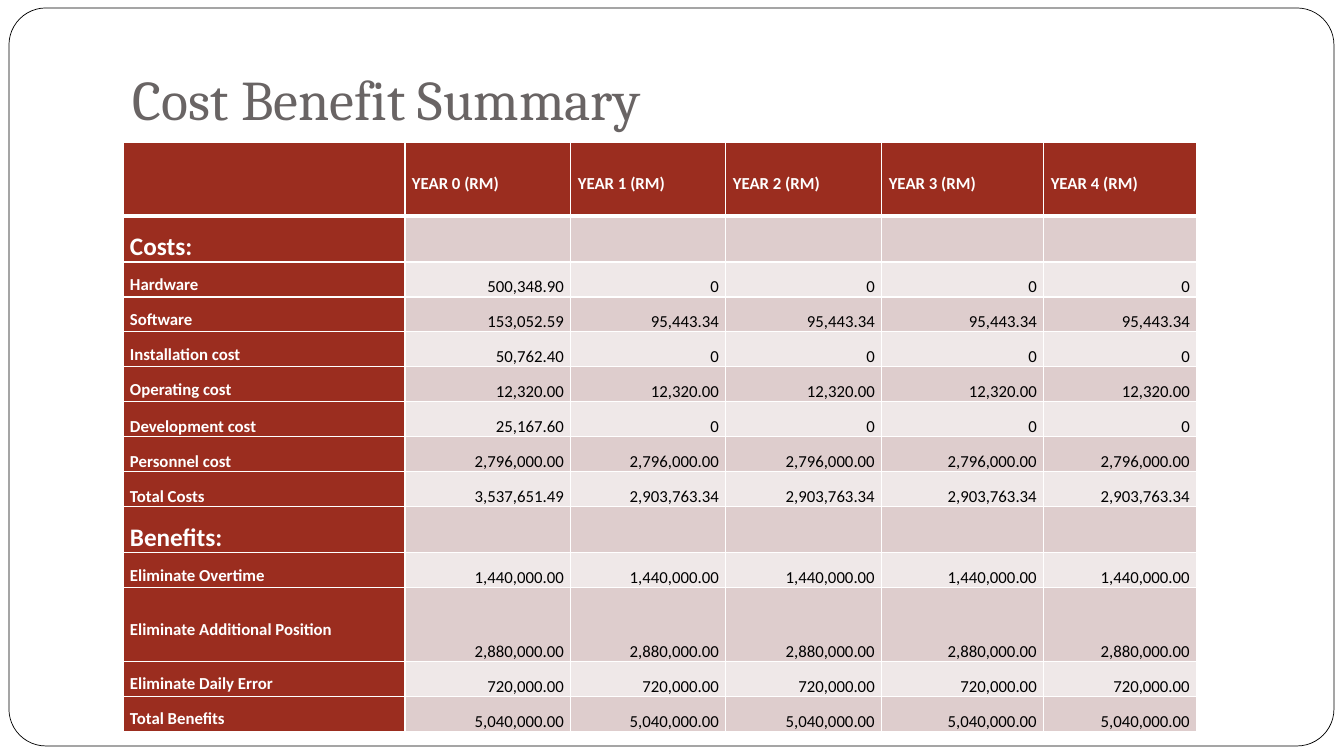
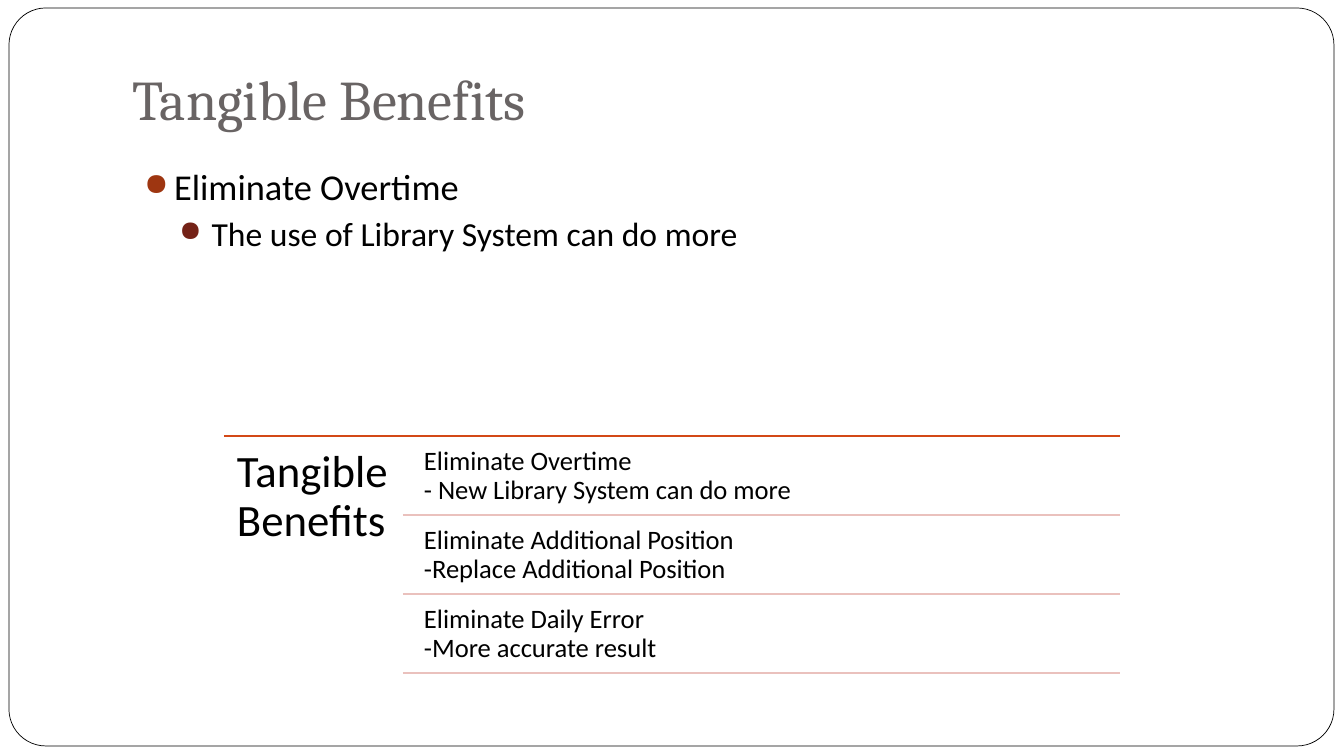
from lxml.etree import SubElement
from pptx import Presentation
from pptx.dml.color import RGBColor
from pptx.enum.shapes import MSO_CONNECTOR, MSO_SHAPE
from pptx.enum.text import MSO_ANCHOR, PP_ALIGN
from pptx.oxml.ns import qn
from pptx.util import Pt

SCALE = 914400 / 100.8
WIDE, HIGH = 1344, 756
HEAD_FONT, BODY_FONT = "Cambria", "Calibri"
WHITE = RGBColor(0xFF, 0xFF, 0xFF)
BLACK = RGBColor(0x00, 0x00, 0x00)
GREY = RGBColor(0x69, 0x64, 0x64)
BRICK = RGBColor(0x9B, 0x2D, 0x1F)
ROSE = RGBColor(0xDE, 0xCD, 0xCD)
PALE = RGBColor(0xEF, 0xE8, 0xE8)
ORANGE = RGBColor(0xD3, 0x48, 0x17)
PINK = RGBColor(0xEA, 0xC1, 0xBD)
RUST = RGBColor(0x9E, 0x36, 0x11)
WINE = RGBColor(0x74, 0x22, 0x17)

MID, LOW = MSO_ANCHOR.MIDDLE, MSO_ANCHOR.BOTTOM
YEARS = [f"YEAR {n} (RM)" for n in range(5)]
COLS = [282, 166, 155, 156, 162, 153]
ROWS = [
    ("", YEARS, 74, MID),
    ("Costs:", [""] * 5, 46, MID),
    ("Hardware", ["500,348.90"] + ["0"] * 4, 35, MID),
    ("Software", ["153,052.59"] + ["95,443.34"] * 4, 35, MID),
    ("Installation cost", ["50,762.40"] + ["0"] * 4, 35, MID),
    ("Operating cost", ["12,320.00"] * 5, 35, MID),
    ("Development cost", ["25,167.60"] + ["0"] * 4, 35, LOW),
    ("Personnel cost", ["2,796,000.00"] * 5, 35, LOW),
    ("Total Costs", ["3,537,651.49"] + ["2,903,763.34"] * 4, 35, LOW),
    ("Benefits:", [""] * 5, 46, LOW),
    ("Eliminate Overtime", ["1,440,000.00"] * 5, 35, MID),
    ("Eliminate Additional Position", ["2,880,000.00"] * 5, 74, MID),
    ("Eliminate Daily Error", ["720,000.00"] * 5, 35, MID),
    ("Total Benefits", ["5,040,000.00"] * 5, 35, MID),
]
GAINS = [
    ("Eliminate Overtime", "- New Library System can do more"),
    ("Eliminate Additional Position", "-Replace Additional Position"),
    ("Eliminate Daily Error", "-More accurate result"),
]
POINTS = [
    ("Eliminate Overtime", 26, 30, 30, 5.8, RUST),
    (" The use of Library System can do more", 24, 60, 25, 3.7, WINE),
]


def px(size):
    return round(size * SCALE)


def style(para, size, color=BLACK, face=BODY_FONT, bold=False):
    font = para.font
    font.name, font.size, font.bold = face, Pt(size), bold
    font.color.rgb = color


def add_text(slide, box, pads, anchor=MSO_ANCHOR.TOP):
    frame = slide.shapes.add_textbox(*map(px, box)).text_frame
    frame.word_wrap = True
    frame.vertical_anchor = anchor
    (frame.margin_left, frame.margin_top,
     frame.margin_right, frame.margin_bottom) = map(px, pads)
    return frame


def add_rule(slide, left, right, y, color):
    rule = slide.shapes.add_connector(
        MSO_CONNECTOR.STRAIGHT, px(left), px(y), px(right), px(y))
    rule.line.color.rgb = color
    rule.line.width = Pt(1)
    SubElement(rule._element.spPr, qn("a:effectLst"))


def add_page(deck, title):
    slide = deck.slides.add_slide(deck.slide_layouts[6])
    panel = slide.shapes.add_shape(
        MSO_SHAPE.ROUNDED_RECTANGLE, *map(px, (9, 8, 1325, 738)))
    panel.adjustments[0] = 0.05
    panel.shadow.inherit = False
    panel.fill.solid()
    panel.fill.fore_color.rgb = WHITE
    panel.line.color.rgb = BLACK
    panel.line.width = Pt(0.5)
    frame = add_text(slide, (123, 16, 1142, 126), (10, 5, 10, 10), LOW)
    para = frame.paragraphs[0]
    para.text = title
    style(para, 40, GREY, HEAD_FONT)
    return slide


def set_edges(cell, row):
    props = cell._tc.get_or_add_tcPr()
    for side in "LRTB":
        thick = (row, side) in ((0, "B"), (1, "T"))
        edge = SubElement(props, qn(f"a:ln{side}"), w=str(Pt(3 if thick else 1)))
        fill = SubElement(edge, qn("a:solidFill"))
        SubElement(fill, qn("a:srgbClr"), val=str(WHITE))


def fill_cell(cell, text, row, col, anchor):
    label = row == 0 or col == 0
    set_edges(cell, row)
    cell.fill.solid()
    cell.fill.fore_color.rgb = BRICK if label else ROSE if row % 2 else PALE
    cell.margin_left = cell.margin_right = px(7)
    cell.margin_top = cell.margin_bottom = 0
    cell.vertical_anchor = anchor if label else LOW
    para = cell.text_frame.paragraphs[0]
    para.text = text
    para.line_spacing = 1.5
    para.alignment = PP_ALIGN.LEFT if label else PP_ALIGN.RIGHT
    style(para, 18 if text.endswith(":") else 12,
          WHITE if label else BLACK, bold=label)


def add_costs(slide, left, top):
    high = sum(row[2] for row in ROWS)
    box = map(px, (left, top, sum(COLS), high))
    table = slide.shapes.add_table(len(ROWS), len(COLS), *box).table
    table.horz_banding = False
    for col, wide in enumerate(COLS):
        table.columns[col].width = px(wide)
    for row, (name, values, tall, anchor) in enumerate(ROWS):
        table.rows[row].height = px(tall)
        for col, text in enumerate([name] + values):
            fill_cell(table.cell(row, col), text, row, col, anchor)


def add_points(slide, box):
    frame = add_text(slide, box, (10, 5, 10, 5))
    for level, (text, size, indent, hang, space, color) in enumerate(POINTS):
        para = frame.add_paragraph() if level else frame.paragraphs[0]
        para.text = text
        para.level = level
        para.space_before = Pt(space)
        props = para._p.get_or_add_pPr()
        props.set("marL", str(px(indent)))
        props.set("indent", str(-px(hang)))
        tint = SubElement(props, qn("a:buClr"))
        SubElement(tint, qn("a:srgbClr"), val=str(color))
        SubElement(props, qn("a:buSzPct"), val="85000")
        SubElement(props, qn("a:buChar"), char="●")
        style(para, size)


def add_gains(slide, left, top, wide, step):
    side, right = 179, left + wide
    add_rule(slide, left, right, top, ORANGE)
    frame = add_text(slide, (left, top, side, step * len(GAINS)), [13] * 4)
    head = frame.paragraphs[0]
    head.text = "Tangible Benefits"
    head.line_spacing = 0.9
    style(head, 32)
    for row, (name, note) in enumerate(GAINS):
        y = top + row * step
        start = left + side + 13
        frame = add_text(slide, (start, y + 4, right - start, step - 4), [8] * 4)
        para = frame.paragraphs[0]
        para.text = name
        para.add_line_break()
        para.add_run().text = note
        para.line_spacing = 0.9
        style(para, 19)
        add_rule(slide, left + side, right, y + step, PINK)


def main():
    deck = Presentation()
    deck.slide_width, deck.slide_height = px(WIDE), px(HIGH)
    add_costs(add_page(deck, "Cost Benefit Summary"), 123, 142)
    slide = add_page(deck, "Tangible Benefits")
    add_gains(slide, 224, 436, 896, 79)
    add_points(slide, (134, 159, 1142, 126))
    deck.save("out.pptx")


if __name__ == "__main__":
    main()
